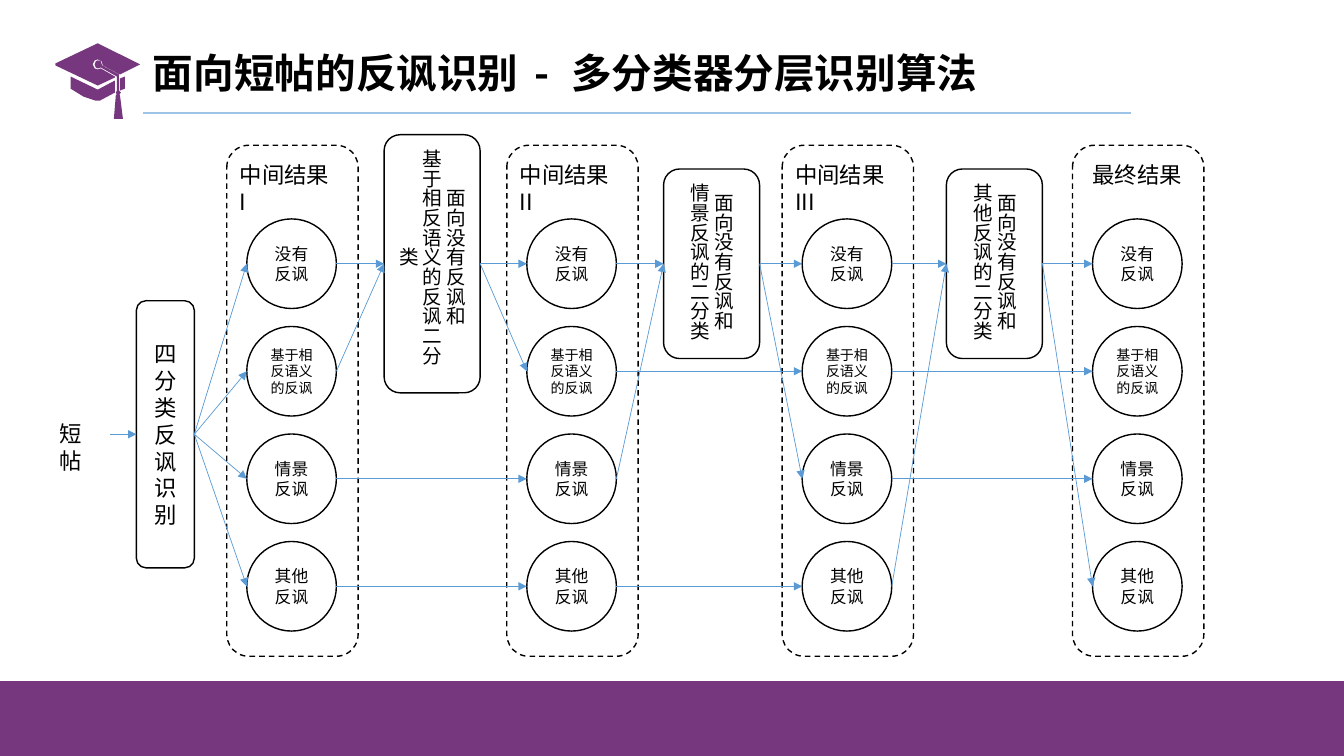
import pptx
import pptx.dml.color
import pptx.enum.dml
import pptx.enum.shapes
import pptx.enum.text
import pptx.oxml
import pptx.oxml.ns
import pptx.util

Pt = pptx.util.Pt
SHAPE = pptx.enum.shapes.MSO_SHAPE
ALIGN = pptx.enum.text.PP_ALIGN
ANCHOR = pptx.enum.text.MSO_ANCHOR

PURPLE = pptx.dml.color.RGBColor(0x77, 0x37, 0x7E)
BLACK = pptx.dml.color.RGBColor(0x00, 0x00, 0x00)
ARROW_BLUE = pptx.dml.color.RGBColor(0x5B, 0x9B, 0xD5)
RULE_BLUE = pptx.dml.color.RGBColor(0x9D, 0xC3, 0xE6)
FONT = "Noto Sans CJK SC"

CIRCLE = 64
ROW_PITCH = 76.8
FIRST_ROW_CENTER = 188.4
CATEGORIES = [("没有\n反讽", 12), ("基于相反语义的反讽", 10),
              ("情景\n反讽", 12), ("其他\n反讽", 12)]
# Label, panel left, label offset within the panel
RESULTS = [("中间结果I", 162, 2.2), ("中间结果II", 362, 2.2),
           ("中间结果III", 558.7, 2.2), ("最终结果", 766.1, 7.2)]
# Text, left, height
CLASSIFIERS = [("面向没有反讽和\n基于相反语义的反讽二分类", 274.4, 184.4),
               ("面向没有反讽和\n情景反讽的二分类", 474, 135.4),
               ("面向没有反讽和\n其他反讽的二分类", 676, 135.4)]
# Graduation cap outlines, in hundredths of an inch
CAP = [
    [(64, 47), (69, 45), (69, 33), (64, 35)],
    [(15, 33), (15, 45), (28, 53), (40, 57), (44, 57), (59, 49), (59, 37), (42, 46)],
    [(63, 32), (63, 31), (46, 22), (46, 21), (45, 18), (42, 17), (40, 18),
     (39, 21), (40, 24), (42, 25), (45, 24), (61, 33)],
    [(84, 21), (42, 0), (0, 20), (0, 22), (42, 42), (59, 34), (59, 33), (45, 25),
     (42, 26), (39, 25), (37, 21), (39, 17), (42, 16), (46, 18), (47, 22), (64, 31)],
    [(63, 32), (63, 47), (65, 49), (63, 51), (64, 51), (67, 75), (58, 75),
     (60, 51), (61, 51), (60, 49), (61, 47), (61, 33)],
]


def format_run(run, size, bold=False):
    run.font.size = Pt(size)
    run.font.bold = bold
    run.font.name = FONT
    run.font.color.rgb = BLACK
    east_asian = pptx.oxml.parse_xml(
        f'<a:ea {pptx.oxml.ns.nsdecls("a")} typeface="{FONT}"/>')
    run.font._element.find(pptx.oxml.ns.qn("a:latin")).addnext(east_asian)


def set_text(shape, text, size, align=ALIGN.CENTER, anchor=ANCHOR.MIDDLE):
    shape.text_frame.text = text
    shape.text_frame.vertical_anchor = anchor
    for paragraph in shape.text_frame.paragraphs:
        paragraph.alignment = align
        for run in paragraph.runs:
            format_run(run, size)


def add_outline(slide, kind, left, top, width, height):
    shape = slide.shapes.add_shape(kind, Pt(left), Pt(top), Pt(width), Pt(height))
    shape.shadow.inherit = False
    shape.fill.background()
    shape.line.color.rgb = BLACK
    shape.line.width = Pt(1)
    return shape


def add_label(slide, text, left, top, width, wrap=True):
    label = slide.shapes.add_textbox(Pt(left), Pt(top), Pt(width), Pt(26.6))
    set_text(label, text, 16, ALIGN.LEFT, ANCHOR.TOP)
    label.text_frame.word_wrap = wrap
    return label


def add_line(slide, start, end, color, width):
    line = slide.shapes.add_connector(
        pptx.enum.shapes.MSO_CONNECTOR.STRAIGHT, *start, *end)
    line.line.color.rgb = color
    line.line.width = Pt(width)
    line._element.spPr.append(pptx.oxml.parse_xml(
        f'<a:effectLst {pptx.oxml.ns.nsdecls("a")}/>'))
    return line


def add_arrow(slide, source, target):
    """Arrow from the right side of source to the left side of target."""
    start = (source.left + source.width, source.top + source.height // 2)
    end = (target.left, target.top + target.height // 2)
    arrow = add_line(slide, start, end, ARROW_BLUE, 0.5)
    arrow.line._get_or_add_ln().append(pptx.oxml.parse_xml(
        f'<a:tailEnd {pptx.oxml.ns.nsdecls("a")} type="triangle"/>'))
    if source.auto_shape_type == SHAPE.ROUNDED_RECTANGLE:
        arrow.begin_connect(source, 3)
    if target.auto_shape_type == SHAPE.ROUNDED_RECTANGLE:
        arrow.end_connect(target, 1)


def add_cap(slide, left, top):
    builder = None
    for outline in CAP:
        if builder is None:
            builder = slide.shapes.build_freeform(*outline[0], scale=Pt(0.72))
        else:
            builder.move_to(*outline[0])
        builder.add_line_segments(outline[1:], close=True)
    cap = builder.convert_to_shape(Pt(left), Pt(top))
    cap.shadow.inherit = False
    cap.fill.solid()
    cap.fill.fore_color.rgb = PURPLE
    cap.line.fill.background()


def add_header(slide, left, top, width, height):
    add_cap(slide, left - 62.6, top + 4.3)
    title = slide.shapes.add_textbox(Pt(left), Pt(top), Pt(width), Pt(height))
    title.text_frame.word_wrap = True
    title.text_frame.vertical_anchor = ANCHOR.MIDDLE
    paragraph = title.text_frame.paragraphs[0]
    paragraph.line_spacing = 0.9
    for text in ("面向短帖的反讽识别", " - ", "多分类器分层识别算法"):
        run = paragraph.add_run()
        run.text = text
        format_run(run, 29, bold=True)
    # Wider letter spacing around the dash
    paragraph.runs[1].font._element.set("spc", "450")
    bottom = Pt(top + height)
    add_line(slide, (Pt(left), bottom), (Pt(left + 705.6), bottom), RULE_BLUE, 1.5)


def add_result_panel(slide, label, label_offset, left, top, width, height):
    panel = add_outline(slide, SHAPE.ROUNDED_RECTANGLE, left, top, width, height)
    panel.line.dash_style = pptx.enum.dml.MSO_LINE.DASH
    add_label(slide, label, left + label_offset, top + 7.9, 79.2)
    circles = []
    for row, (text, size) in enumerate(CATEGORIES):
        circle_top = FIRST_ROW_CENTER + row * ROW_PITCH - CIRCLE / 2
        circle = add_outline(slide, SHAPE.OVAL, left + 14.3, circle_top, CIRCLE, CIRCLE)
        set_text(circle, text, size)
        circles.append(circle)
    return circles


def add_classifier(slide, text, left, height):
    top = FIRST_ROW_CENTER - height / 2
    box = add_outline(slide, SHAPE.ROUNDED_RECTANGLE, left, top, 68.6, height)
    set_text(box, text, 14)
    box.text_frame._txBody.bodyPr.set("vert", "eaVert")
    return box


def add_diagram(slide, left, top, height):
    # Input and four-way classifier
    source = add_label(slide, "短帖", left, 296.8, 46.8, wrap=False)
    source.width = Pt(43.4)
    four_way = add_outline(slide, SHAPE.ROUNDED_RECTANGLE, left + 62.2, 214.8, 41.4, 190.8)
    set_text(four_way, "四分类反讽识别", 16)

    # Result panels and two-way classifiers
    columns = [add_result_panel(slide, label, offset, panel_left, top, 93.8, height)
               for label, panel_left, offset in RESULTS]
    classifiers = [add_classifier(slide, *classifier) for classifier in CLASSIFIERS]

    # Arrows
    middle = four_way.top + four_way.height // 2
    entry = add_line(slide, (source.left + source.width, middle),
                     (four_way.left, middle), ARROW_BLUE, 0.5)
    entry.line._get_or_add_ln().append(pptx.oxml.parse_xml(
        f'<a:tailEnd {pptx.oxml.ns.nsdecls("a")} type="triangle"/>'))
    entry.end_connect(four_way, 1)
    for circle in columns[0]:
        add_arrow(slide, four_way, circle)
    for step, classifier in enumerate(classifiers):
        for row, (before, after) in enumerate(zip(columns[step], columns[step + 1])):
            if row in (0, step + 1):
                add_arrow(slide, before, classifier)
                add_arrow(slide, classifier, after)
            else:
                add_arrow(slide, before, after)


def add_footer(slide, left, top, width, height):
    band = add_outline(slide, SHAPE.RECTANGLE, left, top, width, height)
    band.fill.solid()
    band.fill.fore_color.rgb = PURPLE
    band.line.fill.background()


def main():
    presentation = pptx.Presentation()
    presentation.slide_width = Pt(960)
    presentation.slide_height = Pt(540)
    slide = presentation.slides.add_slide(presentation.slide_layouts[6])
    add_header(slide, 102.2, 26.6, 645, 54)
    add_diagram(slide, 35.2, 103.8, 365)
    add_footer(slide, 0, 486.6, 960, 53.4)
    presentation.save("out.pptx")


if __name__ == "__main__":
    main()
